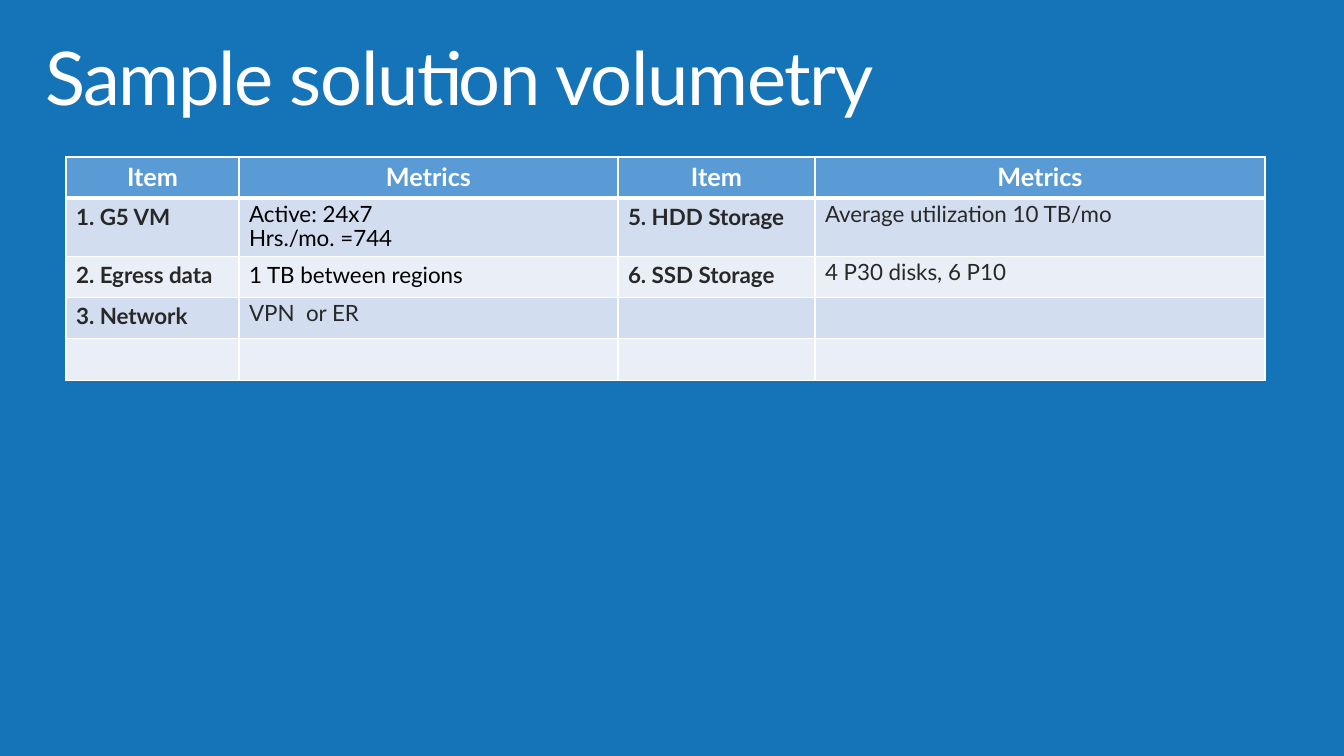
from dataclasses import dataclass

from pptx import Presentation
from pptx import util as u
from pptx.dml.color import RGBColor
from pptx.enum import text
from pptx.oxml import parse_xml
from pptx.oxml.ns import nsdecls

PX = u.Inches(1) / 100.8


@dataclass(frozen=True)
class Theme:
    font: str = "Lato"
    background: str = "1574B8"
    white: str = "FFFFFF"
    black: str = "000000"
    ink: str = "282828"
    header: str = "5B9BD5"
    bands: tuple = ("D2DEEF", "EAEFF7")
    title_size: float = 52.9
    header_size: int = 18
    body_size: int = 16


THEME = Theme()


@dataclass(frozen=True)
class Entry:
    wording: str
    color: str = THEME.ink
    bold: bool = False
    spacing: float = 0.9


def item(wording):
    return Entry(wording, bold=True, spacing=1.0)


EMPTY = Entry("")
HEADINGS = ("Item", "Metrics", "Item", "Metrics")
ENTRIES = (
    (item("1. G5 VM"), Entry("Active: 24x7\nHrs./mo. =744", THEME.black),
     item("5. HDD Storage"), Entry("Average utilization 10 TB/mo")),
    (item("2. Egress data"), Entry("1 TB between regions", THEME.black, spacing=1.0),
     item("6. SSD Storage"), Entry("4 P30 disks, 6 P10")),
    (item("3. Network"), Entry("VPN  or ER"), EMPTY, EMPTY),
    (EMPTY,) * 4,
)
COLUMN_WIDTHS = (173, 379, 197, 450)
ROW_HEIGHTS = (41, 58, 41, 41, 42)


def px(length):
    return u.Emu(round(length * PX))


def rgb(color):
    return RGBColor.from_string(color)


def place(shape, left, top, width, height):
    shape.left, shape.top = px(left), px(top)
    shape.width, shape.height = px(width), px(height)


def style_paragraph(paragraph, size, color, bold=False, spacing=1.0, align=text.PP_ALIGN.LEFT):
    paragraph.alignment = align
    paragraph.line_spacing = spacing
    font = paragraph.font
    font.name, font.size, font.bold = THEME.font, u.Pt(size), bold
    font.color.rgb = rgb(color)


def set_title(slide, wording):
    title = slide.shapes.title
    place(title, 29, 32, 1272, 99)
    frame = title.text_frame
    frame.text = wording
    frame.word_wrap = True
    frame.auto_size = text.MSO_AUTO_SIZE.NONE
    frame.vertical_anchor = text.MSO_ANCHOR.TOP
    frame.margin_left = frame.margin_right = px(16)
    frame.margin_top = frame.margin_bottom = px(10)
    paragraph = frame.paragraphs[0]
    style_paragraph(paragraph, THEME.title_size, THEME.white, spacing=0.9)
    paragraph.runs[0].font._element.set("spc", "-100")


def set_borders(cell, top=1, bottom=1):
    properties = cell._tc.get_or_add_tcPr()
    for side, points in (("L", 1), ("R", 1), ("T", top), ("B", bottom)):
        properties.append(parse_xml(
            f'<a:ln{side} {nsdecls("a")} w="{u.Pt(points)}"><a:solidFill>'
            f'<a:srgbClr val="{THEME.white}"/></a:solidFill></a:ln{side}>'))


def fill_cell(cell, wording, fill, **style):
    cell.text = wording
    for paragraph in cell.text_frame.paragraphs:
        style_paragraph(paragraph, **style)
    cell.fill.solid()
    cell.fill.fore_color.rgb = rgb(fill)


def add_metrics_table(slide):
    frame = slide.shapes.add_table(
        len(ROW_HEIGHTS), len(COLUMN_WIDTHS), px(66), px(157),
        px(sum(COLUMN_WIDTHS)), px(sum(ROW_HEIGHTS)))
    table = frame.table
    for column, width in zip(table.columns, COLUMN_WIDTHS):
        column.width = px(width)
    for row, height in zip(table.rows, ROW_HEIGHTS):
        row.height = px(height)

    for cell, heading in zip(table.rows[0].cells, HEADINGS):
        set_borders(cell, bottom=3)
        fill_cell(cell, heading, THEME.header, size=THEME.header_size,
                  color=THEME.white, bold=True, align=text.PP_ALIGN.CENTER)

    for number, entries in enumerate(ENTRIES):
        for cell, entry in zip(table.rows[number + 1].cells, entries):
            set_borders(cell, top=1 if number else 3)
            fill_cell(cell, entry.wording, THEME.bands[number % 2], size=THEME.body_size,
                      color=entry.color, bold=entry.bold, spacing=entry.spacing)


def main():
    deck = Presentation()
    deck.slide_width, deck.slide_height = px(1344), px(756)
    slide = deck.slides.add_slide(deck.slide_layouts[5])
    slide.background.fill.solid()
    slide.background.fill.fore_color.rgb = rgb(THEME.background)
    set_title(slide, "Sample solution volumetry")
    add_metrics_table(slide)
    deck.save("out.pptx")


if __name__ == "__main__":
    main()
